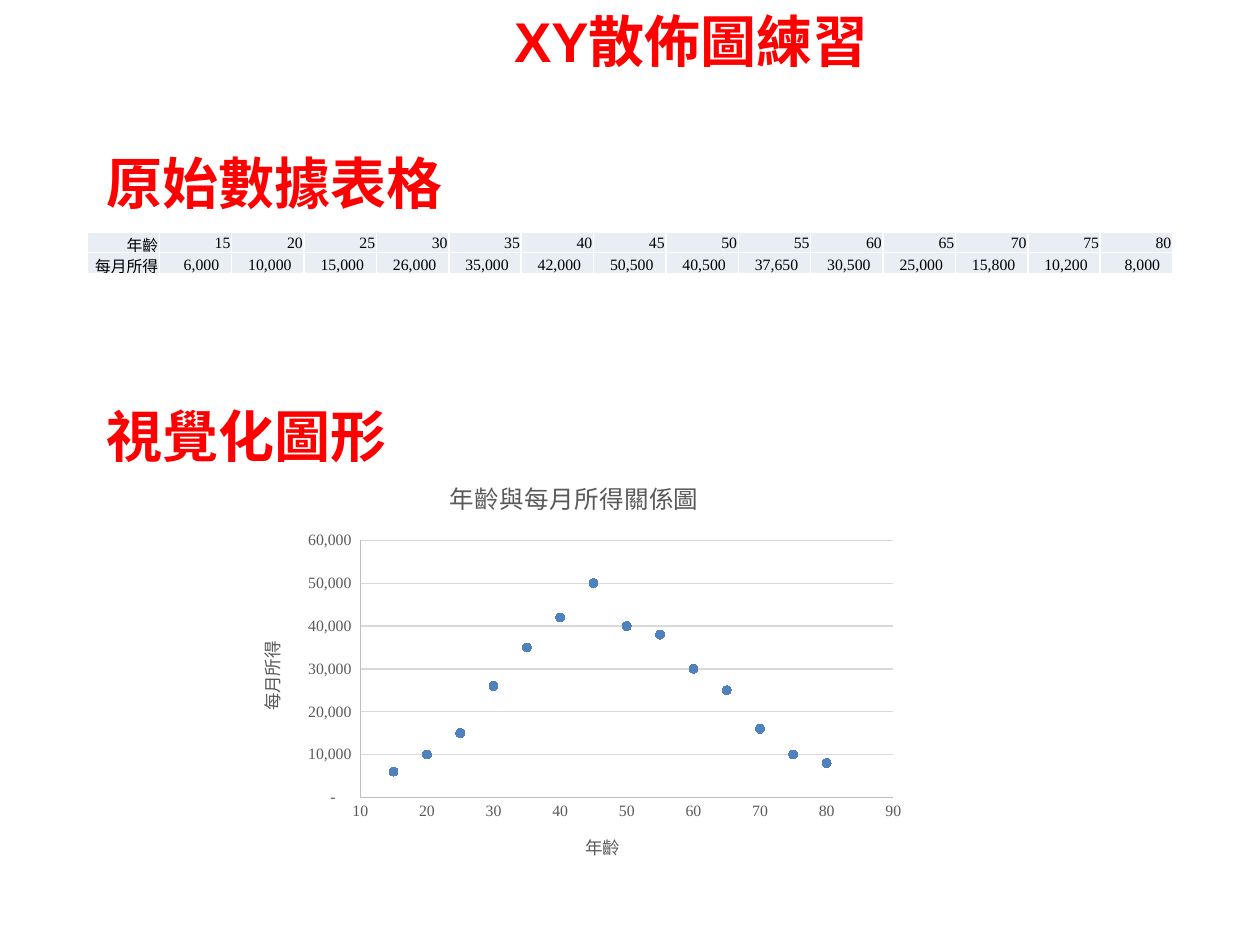
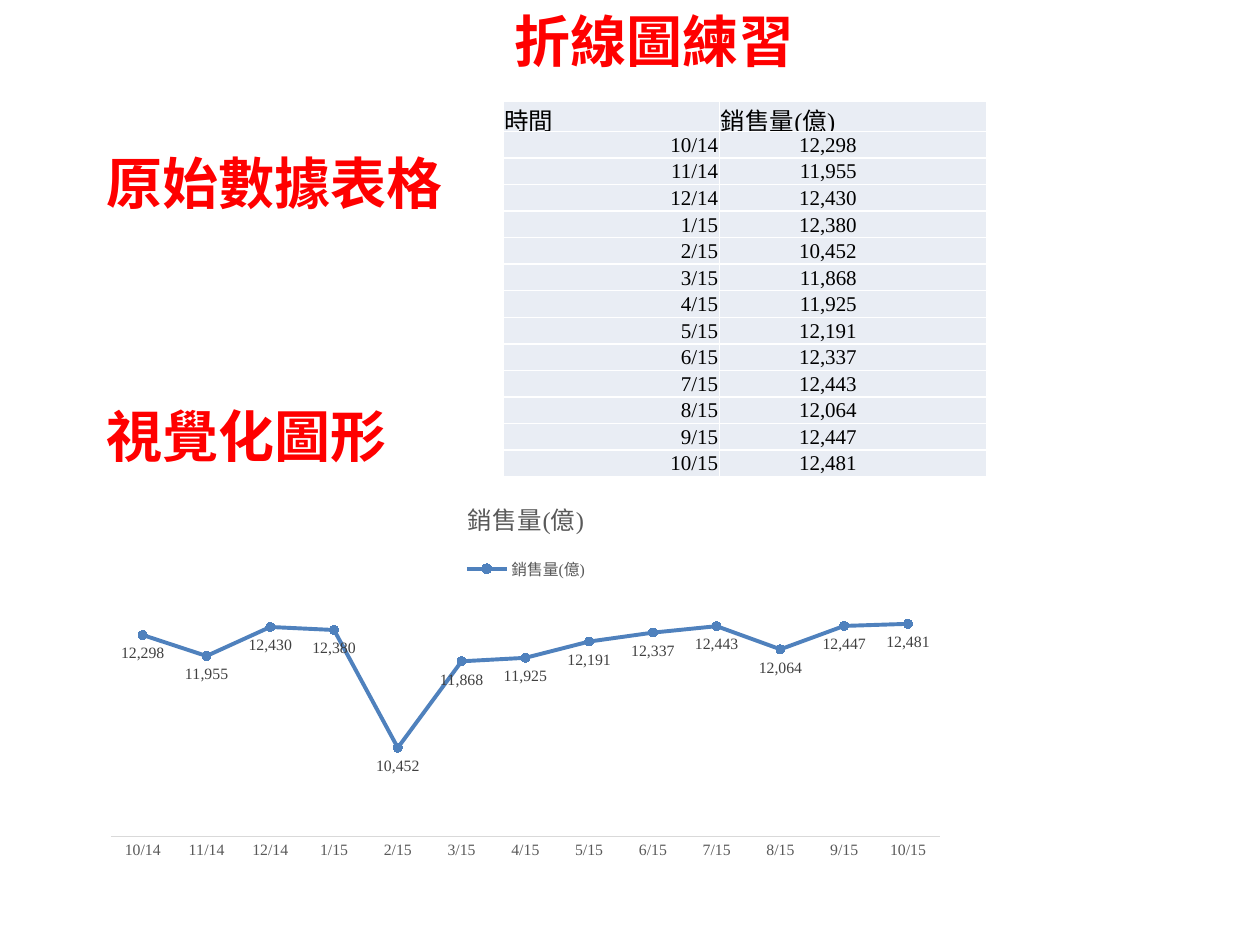
from dataclasses import dataclass

import pptx
import pptx.chart.data
import pptx.dml.color
import pptx.enum.chart
import pptx.enum.text
import pptx.oxml
import pptx.oxml.ns
import pptx.util
from pptx.util import Inches

# Shared look
COLORS = {
    "heading": "FF0000",
    "text": "000000",
    "cell": "E9EDF4",
    "border": "FFFFFF",
    "series": "4F81BD",
    "chart_text": "595959",
    "label": "404040",
    "axis": "BFBFBF",
    "grid": "D9D9D9",
}
HEADING_FONT = "Arial"
DATA_FONT = "Times New Roman"
ALIGN = pptx.enum.text.PP_ALIGN
ANCHOR = pptx.enum.text.MSO_ANCHOR
CHART_TYPE = pptx.enum.chart.XL_CHART_TYPE
LABEL_FORMAT = "#,##0"
AXIS_FORMAT = '_-* #,##0_-;\\-* #,##0_-;_-* "-"??_-;_-@_-'

# Data
AGES = list(range(15, 85, 5))
INCOMES = [6000, 10000, 15000, 26000, 35000, 42000, 50500,
           40500, 37650, 30500, 25000, 15800, 10200, 8000]
DATES = ["10/14", "11/14", "12/14"] + [f"{month}/15" for month in range(1, 11)]
SALES = [12298, 11955, 12430, 12380, 10452, 11868, 11925,
         12191, 12337, 12443, 12064, 12447, 12481]
SALES_NAME = "銷售量(億)"


@dataclass
class Box:
    left: float
    top: float
    width: float
    height: float

    def lengths(self) -> tuple:
        return tuple(Inches(value) for value in
                     (self.left, self.top, self.width, self.height))


@dataclass
class Cell:
    text: str
    size: float
    align: ALIGN = ALIGN.RIGHT
    anchor: ANCHOR = ANCHOR.MIDDLE
    margin_right: float = 0.01


TITLE_BOX = Box(3.98, 0, 4.96, 0.64)
SECTIONS = [
    ("原始數據表格", Box(0.75, 1.13, 2.99, 0.64)),
    ("視覺化圖形", Box(0.75, 3.14, 2.99, 0.64)),
]


# Text and line helpers
def rgb(name: str) -> pptx.dml.color.RGBColor:
    return pptx.dml.color.RGBColor.from_string(COLORS[name])


def format_font(font, size: float, color: str, name: str = DATA_FONT,
                bold: bool = False) -> None:
    font.size = pptx.util.Pt(size)
    font.name = name
    font.bold = bold
    font.color.rgb = rgb(color)


def write_text(text_frame, text: str, *, size: float, color: str,
               name: str = DATA_FONT, bold: bool = False,
               align: ALIGN = ALIGN.LEFT) -> None:
    paragraph = text_frame.paragraphs[0]
    paragraph.alignment = align
    run = paragraph.add_run()
    run.text = text
    format_font(run.font, size, color, name, bold)


def format_line(line, color: str, width: float = 0.75) -> None:
    line.color.rgb = rgb(color)
    line.width = pptx.util.Pt(width)


# Headings
def write_heading(shape, text: str) -> None:
    text_frame = shape.text_frame
    text_frame.word_wrap = True
    text_frame.auto_size = pptx.enum.text.MSO_AUTO_SIZE.SHAPE_TO_FIT_TEXT
    text_frame.vertical_anchor = ANCHOR.TOP
    write_text(text_frame, text, size=32, color="heading",
               name=HEADING_FONT, bold=True)


def add_exercise_slide(presentation, title: str):
    slide = presentation.slides.add_slide(presentation.slide_layouts[5])
    shape = slide.shapes.title
    shape.left, shape.top, shape.width, shape.height = TITLE_BOX.lengths()
    write_heading(shape, title)
    for text, box in SECTIONS:
        write_heading(slide.shapes.add_textbox(*box.lengths()), text)
    return slide


# Tables
def add_borders(cell) -> None:
    properties = cell._tc.get_or_add_tcPr()
    for index, side in enumerate(("lnL", "lnR", "lnT", "lnB")):
        properties.insert(index, pptx.oxml.parse_xml(
            f'<a:{side} {pptx.oxml.ns.nsdecls("a")} w="12700"><a:solidFill>'
            f'<a:srgbClr val="{COLORS["border"]}"/></a:solidFill></a:{side}>'))


def add_data_table(slide, box: Box, rows: list[list[Cell]],
                   widths: list[float], heights: list[float]) -> None:
    frame = slide.shapes.add_table(len(rows), len(widths), *box.lengths())
    table = frame.table
    table.first_row = table.horz_banding = False
    for column, width in zip(table.columns, widths):
        column.width = Inches(width)
    for row, height in zip(table.rows, heights):
        row.height = Inches(height)
    frame.height = Inches(box.height)
    for row, contents in zip(table.rows, rows):
        for cell, content in zip(row.cells, contents):
            cell.margin_left = cell.margin_top = Inches(0.01)
            cell.margin_right = Inches(content.margin_right)
            cell.margin_bottom = 0
            cell.vertical_anchor = content.anchor
            cell.fill.solid()
            cell.fill.fore_color.rgb = rgb("cell")
            add_borders(cell)
            write_text(cell.text_frame, content.text, size=content.size,
                       color="text", align=content.align)


# Charts
def set_plot_area(chart, box: Box, plot_box: Box) -> None:
    """Place the inner plot area, given in inches from the chart's corner."""
    plot_area = chart._chartSpace.chart.plotArea
    for layout in plot_area.findall(pptx.oxml.ns.qn("c:layout")):
        plot_area.remove(layout)
    fractions = {
        "x": plot_box.left / box.width,
        "y": plot_box.top / box.height,
        "w": plot_box.width / box.width,
        "h": plot_box.height / box.height,
    }
    values = "".join(f'<c:{key} val="{value}"/>'
                     for key, value in fractions.items())
    plot_area.insert(0, pptx.oxml.parse_xml(
        f'<c:layout {pptx.oxml.ns.nsdecls("c")}><c:manualLayout>'
        '<c:layoutTarget val="inner"/><c:xMode val="edge"/>'
        f'<c:yMode val="edge"/>{values}</c:manualLayout></c:layout>'))


def add_data_chart(slide, chart_type, box: Box, data, title: str, plot_box: Box):
    chart = slide.shapes.add_chart(chart_type, *box.lengths(), data).chart
    format_font(chart.font, 9, "chart_text")
    chart.has_title = True
    chart.chart_title.include_in_layout = False
    write_text(chart.chart_title.text_frame, title, size=14,
               color="chart_text", align=ALIGN.CENTER)
    chart.plots[0].vary_by_categories = False
    set_plot_area(chart, box, plot_box)
    series = chart.plots[0].series[0]
    series.smooth = False
    marker = series.marker
    marker.style = pptx.enum.chart.XL_MARKER_STYLE.CIRCLE
    marker.size = 5
    marker.format.fill.solid()
    marker.format.fill.fore_color.rgb = rgb("series")
    format_line(marker.format.line, "series")
    return chart


def format_axis(axis, minimum: float, maximum: float, step: float) -> None:
    axis.minimum_scale = minimum
    axis.maximum_scale = maximum
    axis.major_unit = step
    axis.has_major_gridlines = False
    axis.major_tick_mark = pptx.enum.chart.XL_TICK_MARK.NONE


def label_axis(axis, title: str) -> None:
    write_text(axis.axis_title.text_frame, title, size=10,
               color="chart_text", align=ALIGN.CENTER)
    format_line(axis.format.line, "axis")
    format_font(axis.tick_labels.font, 9, "chart_text")


# Scatter exercise
def build_scatter_slide(presentation) -> None:
    slide = add_exercise_slide(presentation, "XY散佈圖練習")
    age_row = [Cell("年齡", 9, anchor=ANCHOR.BOTTOM)]
    age_row += [Cell(str(age), 9) for age in AGES]
    income_row = [Cell("每月所得", 9, anchor=ANCHOR.BOTTOM)]
    income_row += [Cell(f"{income:,}", 9, anchor=ANCHOR.BOTTOM, margin_right=0.1)
                   for income in INCOMES]
    box = Box(0.69, 1.84, 8.62, 0.33)
    count = len(age_row)
    add_data_table(slide, box, [age_row, income_row],
                   [box.width / count] * count, [box.height / 2] * 2)

    # Points are plotted to the nearest thousand
    data = pptx.chart.data.XyChartData()
    points = data.add_series("每月所得")
    for age, income in zip(AGES, INCOMES):
        points.add_data_point(age, round(income, -3))
    chart = add_data_chart(slide, CHART_TYPE.XY_SCATTER,
                           Box(1.85, 3.63, 5.42, 3.4), data,
                           "年齡與每月所得關係圖", Box(1.01, 0.66, 4.23, 2.04))
    chart.has_legend = False
    chart.plots[0].series[0].format.line.fill.background()
    format_axis(chart.category_axis, 10, 90, 10)
    label_axis(chart.category_axis, "年齡")
    axis = chart.value_axis
    format_axis(axis, 0, 60000, 10000)
    label_axis(axis, "每月所得")
    axis.tick_labels.number_format = AXIS_FORMAT
    axis.tick_labels.number_format_is_linked = False
    axis.has_major_gridlines = True
    format_line(axis.major_gridlines.format.line, "grid")


# Line exercise
def build_line_slide(presentation) -> None:
    slide = add_exercise_slide(presentation, "折線圖練習")
    rows = [[Cell(text, 14, align=ALIGN.LEFT) for text in ("時間", SALES_NAME)]]
    rows += [[Cell(date, 12), Cell(f"{amount:,}", 12, margin_right=1.03)]
             for date, amount in zip(DATES, SALES)]
    box = Box(3.99, 0.8, 3.84, 2.98)
    header_height = 0.24
    row_height = (box.height - header_height) / len(SALES)
    add_data_table(slide, box, rows, [1.72, 2.12],
                   [header_height] + [row_height] * len(SALES))

    data = pptx.chart.data.CategoryChartData()
    data.categories = DATES
    data.add_series(SALES_NAME, SALES)
    chart = add_data_chart(slide, CHART_TYPE.LINE_MARKERS,
                           Box(0.75, 3.8, 6.85, 3.08), data,
                           SALES_NAME, Box(0.13, 0.9, 6.58, 1.94))
    chart.has_legend = True
    chart.legend.position = pptx.enum.chart.XL_LEGEND_POSITION.TOP
    chart.legend.include_in_layout = False
    format_font(chart.legend.font, 9, "chart_text")
    format_axis(chart.value_axis, 9000, 13000, 500)
    chart.value_axis.visible = False
    axis = chart.category_axis
    axis.major_tick_mark = pptx.enum.chart.XL_TICK_MARK.NONE
    format_line(axis.format.line, "grid")
    format_font(axis.tick_labels.font, 9, "chart_text")

    series = chart.plots[0].series[0]
    format_line(series.format.line, "series", 2.25)
    labels = series.data_labels
    labels.show_value = True
    labels.position = pptx.enum.chart.XL_LABEL_POSITION.BELOW
    labels.number_format = LABEL_FORMAT
    labels.number_format_is_linked = False
    format_font(labels.font, 9, "label")


def main() -> None:
    presentation = pptx.Presentation()
    presentation.slide_width = Inches(10)
    presentation.slide_height = Inches(7.5)
    build_scatter_slide(presentation)
    build_line_slide(presentation)
    presentation.save("out.pptx")


main()
